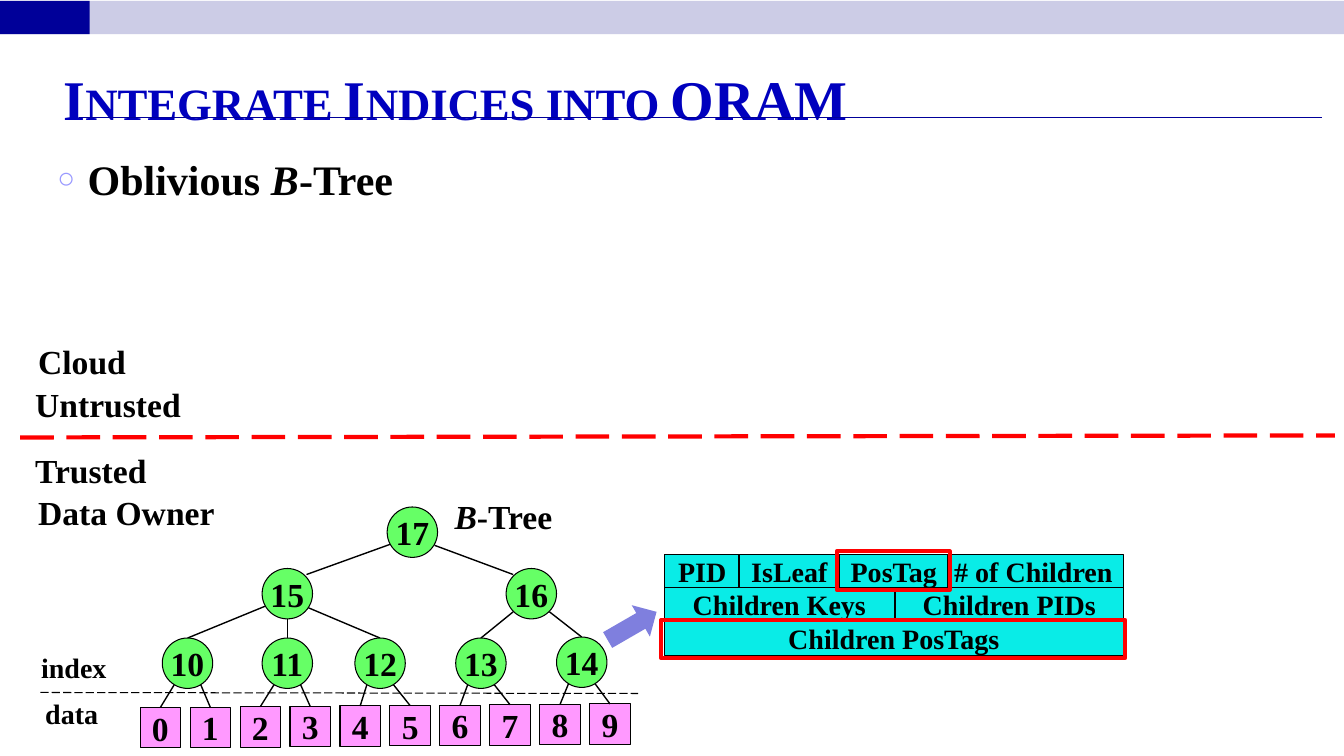
from dataclasses import dataclass

from lxml import etree
from pptx import Presentation
from pptx import util as u
from pptx.dml.color import RGBColor
from pptx.enum import dml, shapes, text
from pptx.oxml import ns


@dataclass(frozen=True)
class Theme:
    font: str = "Times New Roman"
    ink: str = "000000"
    white: str = "FFFFFF"
    heading: str = "0000BE"
    navy: str = "000099"
    pale: str = "CCCCE6"
    bullet: str = "9999FF"
    node: str = "66FF66"
    leaf: str = "FF99FF"
    field: str = "09ECE7"
    alert: str = "FF0000"
    title_size: int = 40
    body_size: int = 30
    label_size: int = 24
    small_size: int = 20


THEME = Theme()
NODE_SIZE = 0.5
LEAF_SIZE = 0.4
LEAF_STEP = 0.4956
NODES = {
    "17": (4.09, 5.28),
    "15": (2.85, 5.89), "16": (5.27, 5.89),
    "10": (1.86, 6.58), "11": (2.85, 6.58), "12": (3.77, 6.58),
    "13": (4.77, 6.58), "14": (5.77, 6.57),
}
BOTTOM_NODES = ["10", "11", "12", "13", "14"]
TOP = (0, -0.25)
EDGES = [
    ("17", "15", (-0.22, 0.12), (0.19, -0.19)),
    ("17", "16", (0.22, 0.13), (-0.18, -0.19)),
    ("15", "10", (-0.21, 0.12), TOP),
    ("15", "11", (0, 0.25), TOP),
    ("15", "12", (0.21, 0.14), TOP),
    ("16", "13", (-0.18, 0.18), TOP),
    ("16", "14", (0.18, 0.18), TOP),
]
FIELD_ROWS = [
    (5.5, [("PID", 6.59, 0.75), ("IsLeaf", 7.33, 1), ("# of Children", 9.36, 1.78),
           ("PosTag", 8.33, 1.07)]),
    (5.83, [("Children Keys", 6.59, 2.28), ("Children PIDs", 8.88, 2.26)]),
    (6.17, [("Children PosTags", 6.59, 4.55)]),
]


def color(value):
    return RGBColor.from_string(value)


def inches(*values):
    return [u.Inches(value) for value in values]


def format_runs(paragraph, size, ink=THEME.ink):
    for run in paragraph.runs:
        run.font.name = THEME.font
        run.font.size = u.Pt(size)
        run.font.bold = True
        run.font.color.rgb = color(ink)


def add_italic_start(paragraph, parts, italic_part, size):
    for part in parts:
        run = paragraph.add_run()
        run.text = part
        run.font.italic = part == italic_part
    format_runs(paragraph, size)


def place(shape, left, top, width, height):
    shape.left, shape.top, shape.width, shape.height = inches(left, top, width, height)


def add_block(slide, kind, box, fill=None, line=None, line_width=0.75,
              caption="", size=THEME.label_size):
    shape = slide.shapes.add_shape(kind, *inches(*box))
    shape.shadow.inherit = False
    if fill:
        shape.fill.solid()
        shape.fill.fore_color.rgb = color(fill)
    else:
        shape.fill.background()
    if line:
        shape.line.color.rgb = color(line)
        shape.line.width = u.Pt(line_width)
    else:
        shape.line.fill.background()
    if caption:
        frame = shape.text_frame
        frame.text = caption
        frame.word_wrap = False
        frame.vertical_anchor = text.MSO_ANCHOR.MIDDLE
        frame.margin_left = frame.margin_right = 0
        frame.margin_top = frame.margin_bottom = 0
        frame.paragraphs[0].alignment = text.PP_ALIGN.CENTER
        format_runs(frame.paragraphs[0], size)
    return shape


def add_line(slide, start, end, ink=THEME.ink, width=1.0, dashed=False):
    connector = slide.shapes.add_connector(
        shapes.MSO_CONNECTOR.STRAIGHT, *inches(*start, *end))
    connector.line.color.rgb = color(ink)
    connector.line.width = u.Pt(width)
    if dashed:
        connector.line.dash_style = dml.MSO_LINE.LONG_DASH
    etree.SubElement(connector._element.spPr, ns.qn("a:effectLst"))


def add_label(slide, box, caption="", size=THEME.label_size, outlined=False):
    label = slide.shapes.add_textbox(*inches(*box))
    label.text_frame.word_wrap = True
    label.text_frame.text = caption
    format_runs(label.text_frame.paragraphs[0], size)
    if outlined:
        label.line.color.rgb = color(THEME.white)
        label.line.width = u.Pt(0.75)
    return label


def add_banner(slide):
    rectangle = shapes.MSO_SHAPE.RECTANGLE
    add_block(slide, rectangle, (0, 0.01, 13.33, 0.33), THEME.pale)
    add_block(slide, rectangle, (0, 0.01, 0.89, 0.33), THEME.navy)
    add_line(slide, (0.78, 1.17), (13.11, 1.17), THEME.navy, 0.75)


def fill_title(title):
    place(title, 0.53, 0.52, 12.25, 0.74)
    frame = title.text_frame
    frame.text = "Integrate Indices into ORAM"
    frame.auto_size = text.MSO_AUTO_SIZE.NONE
    frame.vertical_anchor = text.MSO_ANCHOR.TOP
    frame.margin_top = u.Inches(0.12)
    frame.paragraphs[0].alignment = text.PP_ALIGN.LEFT
    format_runs(frame.paragraphs[0], THEME.title_size, THEME.heading)
    frame.paragraphs[0].runs[0].font._element.set("cap", "small")


def fill_body(body):
    place(body, 0.47, 1.47, 11.97, 5.48)
    body.text_frame.auto_size = text.MSO_AUTO_SIZE.NONE
    paragraph = body.text_frame.paragraphs[0]
    add_italic_start(paragraph, ["Oblivious ", "B", "-Tree"], "B", THEME.body_size)
    paragraph.space_before = u.Pt(6)
    properties = paragraph._element.get_or_add_pPr()
    properties.set("marL", str(u.Inches(0.3)))
    properties.set("indent", str(u.Inches(-0.3)))
    bullet_color = etree.SubElement(properties, ns.qn("a:buClr"))
    etree.SubElement(bullet_color, ns.qn("a:srgbClr"), val=THEME.bullet)
    etree.SubElement(properties, ns.qn("a:buSzPct"), val="70000")
    etree.SubElement(properties, ns.qn("a:buChar"), char="○")


def add_tree(slide):
    for index in range(10):
        left, top = 1.39 + LEAF_STEP * index, 7.02 - 0.004 * index
        add_block(slide, shapes.MSO_SHAPE.RECTANGLE, (left, top, LEAF_SIZE, LEAF_SIZE),
                  THEME.leaf, THEME.ink, caption=str(index))
        x, y = NODES[BOTTOM_NODES[index // 2]]
        side = 0.13 if index % 2 else -0.13
        add_line(slide, (left + LEAF_SIZE / 2, top), (x + side, y + 0.21))
    for parent, child, parent_offset, child_offset in EDGES:
        start = [sum(pair) for pair in zip(NODES[parent], parent_offset)]
        end = [sum(pair) for pair in zip(NODES[child], child_offset)]
        add_line(slide, start, end)
    for key, (x, y) in NODES.items():
        box = (x - NODE_SIZE / 2, y - NODE_SIZE / 2, NODE_SIZE, NODE_SIZE)
        add_block(slide, shapes.MSO_SHAPE.OVAL, box, THEME.node, THEME.ink, caption=key)


def add_labels(slide):
    add_line(slide, (0.4, 6.87), (6.33, 6.88), width=0.75, dashed=True)
    add_line(slide, (0.2, 4.34), (13.24, 4.32), THEME.alert, 3, dashed=True)
    add_label(slide, (0.28, 3.33, 1.23, 0.5), "Cloud", outlined=True)
    add_label(slide, (0.25, 3.76, 1.75, 0.5), "Untrusted")
    add_label(slide, (0.25, 4.41, 1.75, 0.5), "Trusted")
    add_label(slide, (0.28, 4.83, 2.01, 0.5), "Data Owner", outlined=True)
    add_label(slide, (0.31, 6.4, 0.86, 0.44), "index", THEME.small_size)
    add_label(slide, (0.35, 6.86, 0.73, 0.44), "data", THEME.small_size)
    tree_name = add_label(slide, (4.41, 4.87, 1.53, 0.5), outlined=True)
    add_italic_start(tree_name.text_frame.paragraphs[0], ["B", "-Tree"], "B",
                     THEME.label_size)


def add_node_record(slide):
    rectangle = shapes.MSO_SHAPE.RECTANGLE
    arrow = add_block(slide, shapes.MSO_SHAPE.RIGHT_ARROW, (5.99, 6.03, 0.56, 0.36),
                      THEME.heading)
    arrow.rotation = 330
    fill_color = arrow._element.spPr.find(ns.qn("a:solidFill"))[0]
    etree.SubElement(fill_color, ns.qn("a:alpha"), val="50000")
    for top, fields in FIELD_ROWS:
        for caption, left, width in fields:
            add_block(slide, rectangle, (left, top, width, 0.33), THEME.field,
                      THEME.ink, caption=caption, size=THEME.small_size)
    for frame in [(8.3, 5.47, 1.12, 0.38), (6.56, 6.15, 4.6, 0.38)]:
        add_block(slide, rectangle, frame, line=THEME.alert, line_width=3)


def main():
    presentation = Presentation()
    presentation.slide_width, presentation.slide_height = inches(13.33, 7.5)
    slide = presentation.slides.add_slide(presentation.slide_layouts[1])
    fill_title(slide.shapes.title)
    fill_body(slide.placeholders[1])
    add_banner(slide)
    add_tree(slide)
    add_labels(slide)
    add_node_record(slide)
    presentation.save("out.pptx")


if __name__ == "__main__":
    main()
